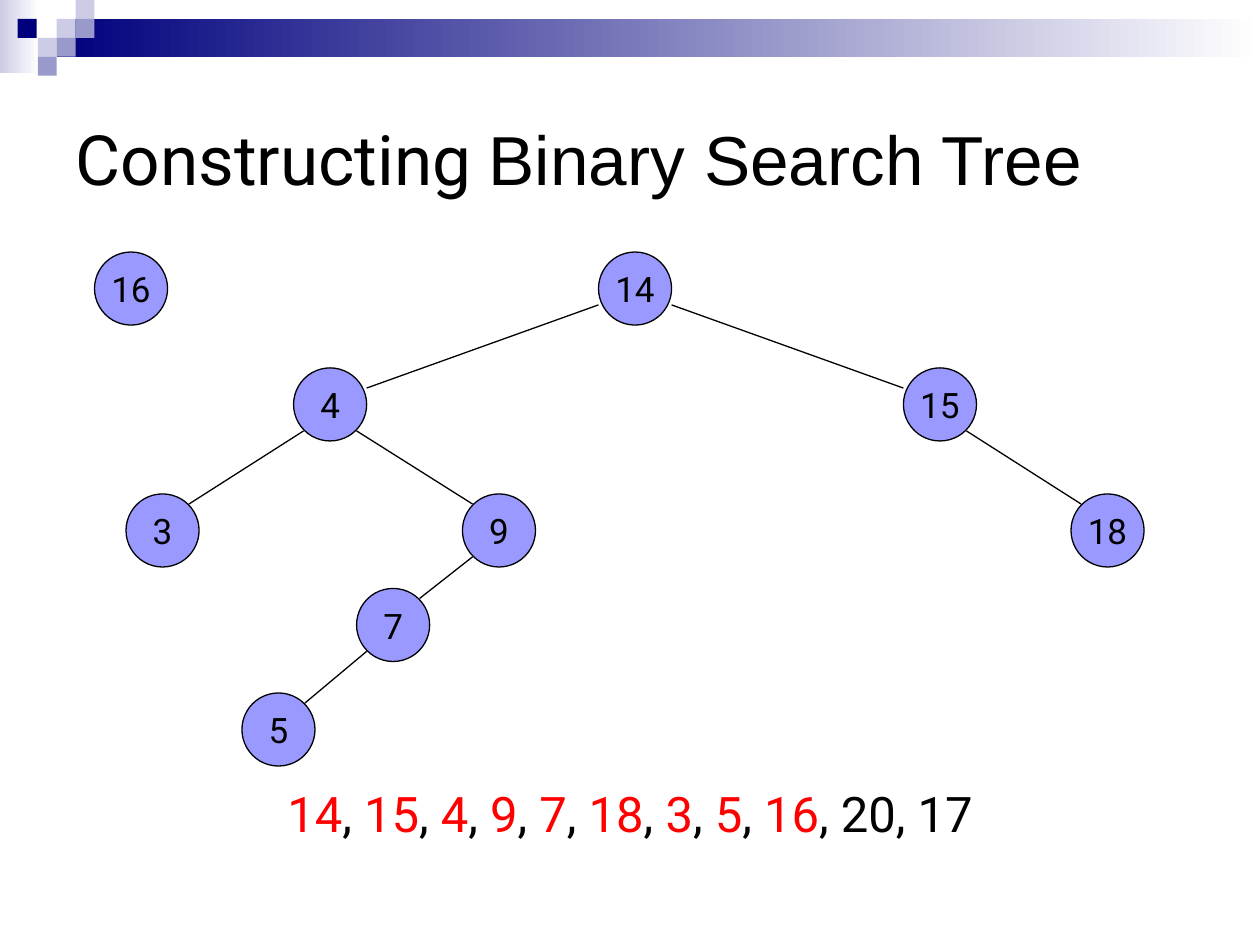
from lxml import etree
from pptx import Presentation
from pptx.dml.color import RGBColor
from pptx.enum.shapes import MSO_CONNECTOR, MSO_SHAPE
from pptx.enum.text import MSO_ANCHOR, PP_ALIGN
from pptx.oxml.ns import qn
from pptx.util import Inches, Pt

RECT, OVAL = MSO_SHAPE.RECTANGLE, MSO_SHAPE.OVAL
STRAIGHT = MSO_CONNECTOR.STRAIGHT
LEFT, CENTER = PP_ALIGN.LEFT, PP_ALIGN.CENTER
TOP, MIDDLE = MSO_ANCHOR.TOP, MSO_ANCHOR.MIDDLE

BLACK = RGBColor(0x00, 0x00, 0x00)
WHITE = RGBColor(0xFF, 0xFF, 0xFF)
RED = RGBColor(0xFF, 0x00, 0x00)
NAVY = RGBColor(0x00, 0x00, 0x7D)
PALE = RGBColor(0xCC, 0xCC, 0xE6)
MAUVE = RGBColor(0x99, 0x99, 0xCC)
NODE_FILL = RGBColor(0x99, 0x99, 0xFF)

# Content
TITLE = [("Constructing ", "Roboto", BLACK), ("Binary Search Tree", "Arial", BLACK)]
INSERTED = ["14", "15", "4", "9", "7", "18", "3", "5", "16"]
REMAINING = ["20", "17"]
NODES = {  # number: (left, top)
    "14": (4.75, 2), "15": (7.17, 2.92), "4": (2.33, 2.92),
    "9": (3.67, 3.92), "7": (2.83, 4.67), "18": (8.5, 3.92),
    "3": (1, 3.92), "5": (1.92, 5.5), "16": (0.75, 2),
}
EDGES = [("14", "15"), ("14", "4"), ("4", "9"), ("9", "7"),
         ("15", "18"), ("4", "3"), ("7", "5")]
BANDS = [(0, 0, 0.31, 0.58, PALE), (0.45, 0.15, 9.55, 0.3, NAVY)]
SQUARES = [(0.45, 0.15, PALE), (0.6, 0, PALE), (0.6, 0.15, MAUVE),
           (0.3, 0.3, PALE), (0.14, 0.15, NAVY), (0.45, 0.3, MAUVE),
           (0.3, 0.45, MAUVE)]

# Measures in inches
SQUARE = 0.15
DIAMETER = 0.58
INSET = 0.08        # where a diagonal edge meets the circle
WIDE = 2            # horizontal reach beyond which edges leave from the side
SIDE_DROP = 0.42    # height of such an edge at the parent
LABEL_W, LABEL_H = 0.75, 0.43


def write(sp, runs, size, align=CENTER, anchor=TOP, hanging=0):
    """Fill a shape with one paragraph of (text, font, colour) runs."""
    tf = sp.text_frame
    tf.word_wrap = True
    tf.vertical_anchor = anchor
    p = tf.paragraphs[0]
    p.alignment = align
    if hanging:
        pPr = p._p.get_or_add_pPr()
        pPr.set("marL", str(Inches(hanging)))
        pPr.set("indent", str(-Inches(hanging)))
    for text, font, color in runs:
        r = p.add_run()
        r.text = text
        r.font.name = font
        r.font.size = Pt(size)
        r.font.color.rgb = color


def add_shape(s, kind, left, top, width, height, fill, fade=False, line=None):
    sp = s.shapes.add_shape(kind, Inches(left), Inches(top), Inches(width), Inches(height))
    sp.shadow.inherit = False
    if fade:
        sp.fill.gradient()
        sp.fill.gradient_angle = 0
        for stop, color in zip(sp.fill.gradient_stops, (fill, WHITE)):
            stop.color.rgb = color
    else:
        sp.fill.solid()
        sp.fill.fore_color.rgb = fill
    if line is None:
        sp.line.fill.background()
    else:
        sp.line.color.rgb = line
        sp.line.width = Pt(0.75)


def add_text(s, left, top, width, height, runs, size, **fmt):
    sp = s.shapes.add_textbox(Inches(left), Inches(top), Inches(width), Inches(height))
    write(sp, runs, size, **fmt)


def add_edge(s, parent, child):
    (px, py), (cx, cy) = NODES[parent], NODES[child]
    wide = abs(cx - px) > WIDE
    near = 0 if wide else INSET
    far = DIAMETER - near
    start_x, end_x = (far, near) if cx > px else (near, far)
    start_y, end_y = (SIDE_DROP, DIAMETER - SIDE_DROP) if wide else (far, near)
    line = s.shapes.add_connector(STRAIGHT, Inches(px + start_x), Inches(py + start_y),
                                  Inches(cx + end_x), Inches(cy + end_y))
    line.line.color.rgb = BLACK
    line.line.width = Pt(0.75)
    etree.SubElement(line._element.spPr, qn("a:effectLst"))


def main():
    prs = Presentation()
    prs.slide_width, prs.slide_height = Inches(10), Inches(7.5)
    s = prs.slides.add_slide(prs.slide_layouts[5])

    # Header decoration
    for left, top, width, height, color in BANDS:
        add_shape(s, RECT, left, top, width, height, color, fade=True)
    for left, top, color in SQUARES:
        add_shape(s, RECT, left, top, SQUARE, SQUARE, color)

    # Title
    title = s.shapes.title
    title.left, title.top = Inches(0.5), Inches(0.5)
    title.width, title.height = Inches(9), Inches(1.5)
    write(title, TITLE, 39.6, align=LEFT, anchor=MIDDLE)

    # Insertion order, numbers already placed in red
    runs = []
    for number in INSERTED:
        runs += [(number, "Roboto", RED), (", ", "Roboto", BLACK)]
    runs.append((", ".join(REMAINING), "Roboto", BLACK))
    add_text(s, 0.5, 6.17, 9, 0.75, runs, 28, hanging=0.38)

    # Tree
    for parent, child in EDGES:
        add_edge(s, parent, child)
    for number, (left, top) in NODES.items():
        add_shape(s, OVAL, left, top, DIAMETER, DIAMETER, NODE_FILL, line=BLACK)
        add_text(s, left + (DIAMETER - LABEL_W) / 2, top + (DIAMETER - LABEL_H) / 2,
                 LABEL_W, LABEL_H, [(number, "Roboto", BLACK)], 20)

    prs.save("out.pptx")


if __name__ == "__main__":
    main()
